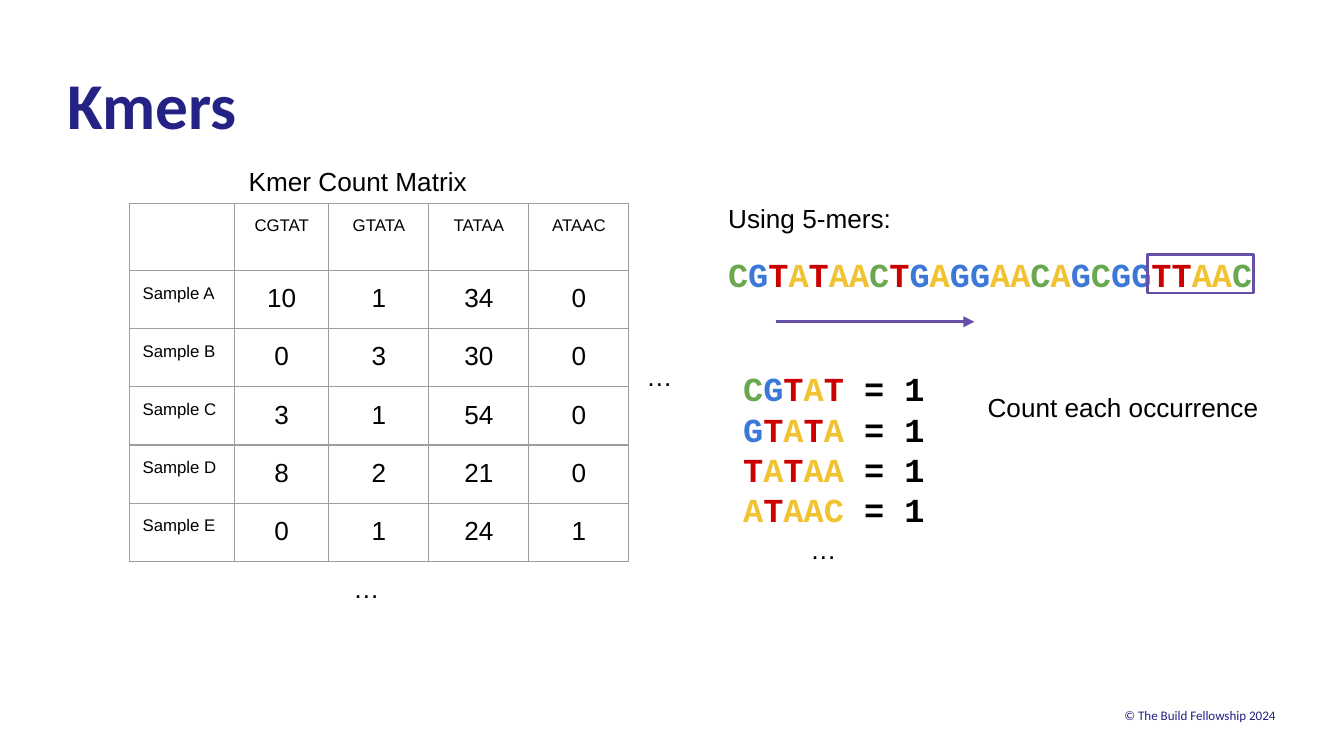
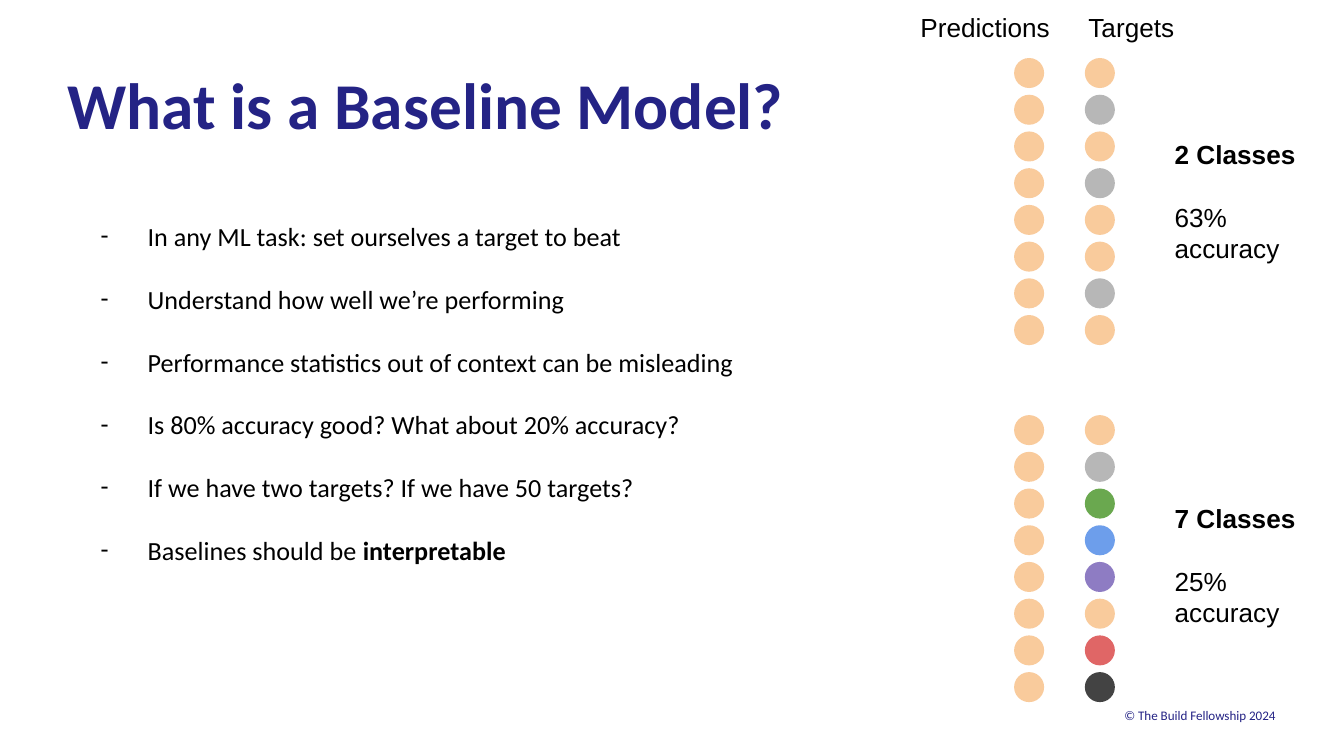
from itertools import groupby

from lxml import etree
from pptx import Presentation
from pptx.dml.color import RGBColor
from pptx.enum.shapes import MSO_CONNECTOR as Connector, MSO_SHAPE as Shape
from pptx.enum.text import MSO_ANCHOR as Anchor, MSO_AUTO_SIZE as AutoSize, PP_ALIGN as Align
from pptx.oxml.ns import qn
from pptx.util import Pt

COLORS = {
    "navy": "242385", "black": "000000", "violet": "674EA7", "grid": "9E9E9E",
    "A": "F1C232", "C": "6AA84F", "G": "3C78D8", "T": "CC0000",
    "peach": "F9CB9C", "gray": "B7B7B7", "green": "6AA84F", "blue": "6D9EEB",
    "purple": "8E7CC3", "red": "E06666", "charcoal": "434343",
}
SLIDE_W, SLIDE_H = 720, 405
MARGIN = 36
INSET = 7.2
BLANK_LINE = 16.8

SEQUENCE = "CGTATAACTGAGGAACAGCGGTTAAC"
# Each k-mer with the bases whose colours its letters take.
KMERS = [("CGTAT", "CGTAT"), ("GTATA", "GTATA"), ("TATAA", "TATAA"), ("ATAAC", "ATAAA")]
COUNTS = {
    "Sample A": (10, 1, 34, 0),
    "Sample B": (0, 3, 30, 0),
    "Sample C": (3, 1, 54, 0),
    "Sample D": (8, 2, 21, 0),
    "Sample E": (0, 1, 24, 1),
}
BASELINE_POINTS = [
    "In any ML task: set ourselves a target to beat",
    "Understand how well we’re performing",
    "Performance statistics out of context can be misleading",
    "Is 80% accuracy good? What about 20% accuracy?",
    "If we have two targets? If we have 50 targets?",
    ["Baselines should be ", ("interpretable", {"bold": True})],
]
TWO_CLASSES = ["peach", "gray", "peach", "gray", "peach", "peach", "gray", "peach"]
SEVEN_CLASSES = ["peach", "gray", "green", "blue", "purple", "peach", "red", "charcoal"]


def rgb(name):
    return RGBColor.from_string(COLORS[name])


def set_font(font, size, face, color, bold):
    font.size, font.name, font.bold = Pt(size), face, bold
    font.color.rgb = rgb(color)


def write_text(frame, paragraphs, size=14, face="Arial", color="black", bold=False,
               align=Align.LEFT, anchor=Anchor.TOP, inset=INSET, gap=0, bullet=None):
    """Fill a frame; a paragraph is a string or a list of strings and (text, overrides)."""
    frame.word_wrap = True
    frame.auto_size = AutoSize.NONE
    frame.vertical_anchor = anchor
    frame.margin_left = frame.margin_right = Pt(inset)
    frame.margin_top = frame.margin_bottom = Pt(inset)
    base = dict(size=size, face=face, color=color, bold=bold)
    for index, content in enumerate(paragraphs):
        paragraph = frame.add_paragraph() if index else frame.paragraphs[0]
        paragraph.alignment = align
        if index and gap:
            paragraph.space_before = Pt(gap)
        if bullet:
            add_bullet(paragraph, bullet)
        for part in [content] if isinstance(content, str) else content:
            words, changes = (part, {}) if isinstance(part, str) else part
            run = paragraph.add_run()
            run.text = words
            set_font(run.font, **{**base, **changes})


def add_bullet(paragraph, mark, indent=36, hanging=25.2):
    properties = paragraph._p.get_or_add_pPr()
    properties.set("marL", str(Pt(indent)))
    properties.set("indent", str(-Pt(hanging)))
    color = etree.SubElement(properties, qn("a:buClr"))
    etree.SubElement(color, qn("a:srgbClr"), val=COLORS["black"])
    etree.SubElement(properties, qn("a:buFont"), typeface="Calibri")
    etree.SubElement(properties, qn("a:buChar"), char=mark)


def add_text(slide, box, *paragraphs, **style):
    frame = slide.shapes.add_textbox(*map(Pt, box)).text_frame
    write_text(frame, paragraphs, **style)


def base_runs(letters, bases=None):
    """Split a DNA string into runs of one base colour."""
    pairs = zip(letters, bases or letters)
    return [("".join(letter for letter, _ in group), {"color": base})
            for base, group in groupby(pairs, key=lambda pair: pair[1])]


def start_slide(deck, title):
    slide = deck.slides.add_slide(deck.slide_layouts[5])
    heading = slide.shapes.title
    heading.left, heading.top, heading.width, heading.height = map(Pt, (MARGIN, 34.6, 466, 82.8))
    write_text(heading.text_frame, [title], size=35, face="Calibri", color="navy",
               bold=True, inset=0)
    add_text(slide, (MARGIN, 377.3, SLIDE_W - 2 * MARGIN - 0.7, 11.5),
             "© The Build Fellowship 2024", size=7, face="Calibri", color="navy",
             align=Align.RIGHT, anchor=Anchor.MIDDLE, inset=0)
    return slide


def border_cell(cell):
    properties = cell._tc.get_or_add_tcPr()
    for place, side in enumerate(("a:lnL", "a:lnR", "a:lnT", "a:lnB")):
        line = etree.Element(qn(side), w=str(Pt(0.75)))
        fill = etree.SubElement(line, qn("a:solidFill"))
        etree.SubElement(fill, qn("a:srgbClr"), val=COLORS["grid"])
        properties.insert(place, line)


def add_count_matrix(slide, left, top):
    widths = [56.5, 50.5, 53.6, 53.6, 53.6]
    heights = [36] + [31.2] * len(COUNTS)
    rows = [["", *(kmer for kmer, _ in KMERS)]]
    rows += [[sample, *counts] for sample, counts in COUNTS.items()]

    add_text(slide, (left + 56.9, top - 27.4, 242.6, 24), "Kmer Count Matrix")
    table = slide.shapes.add_table(len(rows), len(widths), Pt(left), Pt(top),
                                   Pt(sum(widths)), Pt(sum(heights))).table
    table.first_row = table.horz_banding = False
    for column, width in zip(table.columns, widths):
        column.width = Pt(width)
    for r, (values, height) in enumerate(zip(rows, heights)):
        table.rows[r].height = Pt(height)
        for c, value in enumerate(values):
            cell = table.cell(r, c)
            cell.fill.background()
            border_cell(cell)
            cell.margin_left = cell.margin_right = Pt(INSET)
            cell.margin_top = cell.margin_bottom = Pt(INSET)
            paragraph = cell.text_frame.paragraphs[0]
            paragraph.text = str(value)
            paragraph.alignment = Align.CENTER if c else Align.LEFT
            set_font(paragraph.font, 14 if r and c else 9, "Arial", "black", False)
    for x, y in ((270, 77), (113, 190.8)):
        add_text(slide, (left + x, top + y, 41.8, 33.8), "…")


def add_kmer_scan(slide, left, top):
    dna = dict(size=18, face="Courier New", bold=True)
    add_text(slide, (left, top + 27.4, 307.5, 36), base_runs(SEQUENCE), **dna)
    add_text(slide, (left, top, 243.4, 32.4), "Using 5-mers:")

    window = slide.shapes.add_shape(Shape.RECTANGLE, Pt(left + 231.7), Pt(top + 35.1),
                                    Pt(57), Pt(20.5))
    window.shadow.inherit = False
    window.fill.background()
    scan = slide.shapes.add_connector(Connector.STRAIGHT, Pt(left + 32.6), Pt(top + 71),
                                      Pt(left + 139), Pt(top + 71))
    for outlined in (window, scan):
        outlined.line.color.rgb = rgb("violet")
        outlined.line.width = Pt(1.5)
    etree.SubElement(scan.line._get_or_add_ln(), qn("a:tailEnd"), type="triangle")
    etree.SubElement(scan._element.spPr, qn("a:effectLst"))

    add_text(slide, (left + 139, top + 101, 172, 28.8), "Count each occurrence")
    tallies = [base_runs(kmer, bases) + [" = 1"] for kmer, bases in KMERS]
    add_text(slide, (left + 8, top + 88.6, 138.2, 116.6), *tallies, **dna)
    add_text(slide, (left + 44, top + 177.1, 41.8, 33.8), "…")


def add_dot_columns(slide, left, top, targets):
    diameter, pitch, column_gap = 16.1, 19.67, 37.9
    for c, colors in enumerate((["peach"] * len(targets), targets)):
        for r, color in enumerate(colors):
            dot = slide.shapes.add_shape(Shape.OVAL, Pt(left + c * column_gap),
                                         Pt(top + r * pitch), Pt(diameter), Pt(diameter))
            dot.shadow.inherit = False
            dot.fill.solid()
            dot.fill.fore_color.rgb = rgb(color)
            dot.line.fill.background()


def add_class_example(slide, left, top, targets, label_drop, classes, accuracy):
    add_dot_columns(slide, left, top, targets)
    add_text(slide, (left + 78.9, top + label_drop, 82, 63.4),
             [(classes, {"bold": True})], accuracy, gap=BLANK_LINE)


def build_kmers(deck):
    slide = start_slide(deck, "Kmers")
    add_kmer_scan(slide, 383, 101.4)
    add_count_matrix(slide, 69.2, 108.9)


def build_baseline(deck):
    slide = start_slide(deck, "What is a Baseline Model?")
    add_text(slide, (MARGIN, 110.9, 406, 224), *BASELINE_POINTS, face="Calibri",
             gap=BLANK_LINE, bullet="-")
    for left, header in ((576, "Targets"), (486, "Predictions")):
        add_text(slide, (left, -1.2, 90, 28.8), header)
    add_class_example(slide, 543.3, 31.1, TWO_CLASSES, 35.9, "2 Classes", "63% accuracy")
    add_class_example(slide, 543.3, 222.4, SEVEN_CLASSES, 39.7, "7 Classes", "25% accuracy")


def main():
    deck = Presentation()
    deck.slide_width, deck.slide_height = Pt(SLIDE_W), Pt(SLIDE_H)
    build_kmers(deck)
    build_baseline(deck)
    deck.save("out.pptx")


if __name__ == "__main__":
    main()
